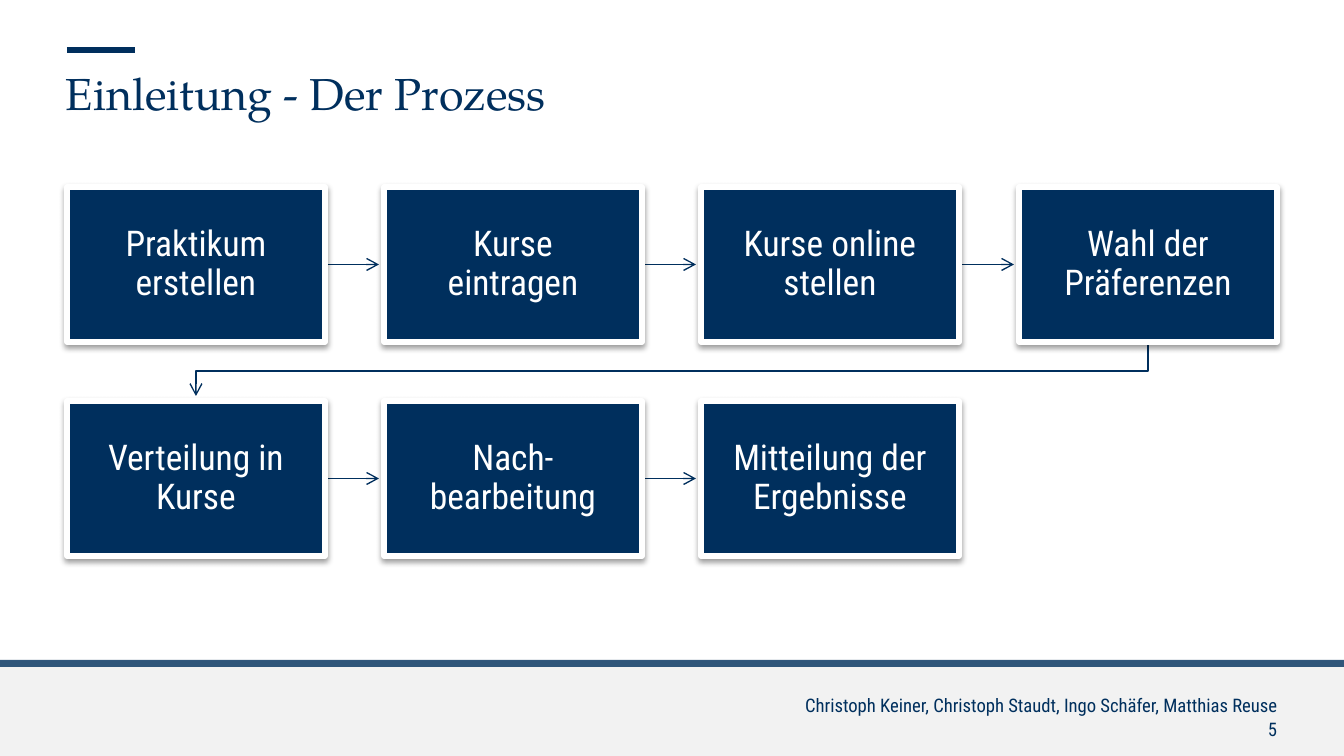
import pptx
import pptx.dml.color
import pptx.enum.shapes
import pptx.enum.text
import pptx.oxml
import pptx.oxml.ns
import pptx.util
from lxml import etree

PX = 914400 / 134.4
A = pptx.oxml.ns.nsdecls("a")
ALIGN = pptx.enum.text.PP_ALIGN
ANCHOR = pptx.enum.text.MSO_ANCHOR
RECTANGLE = pptx.enum.shapes.MSO_SHAPE.RECTANGLE

NAVY, WHITE, GREY = "002F5D", "FFFFFF", "F2F2F2"
SERIF, SANS = "TeX Gyre Pagella", "Roboto Condensed"
RIGHT = 3

BOX_W, BOX_H = 258, 155
LEFT, TOP, ROW_PITCH = 67, 187, 214
ARROW_GAP = 5
STEPS = [
    ["Praktikum erstellen", "Kurse eintragen", "Kurse online stellen", "Wahl der Präferenzen"],
    ["Verteilung in Kurse", "Nach-bearbeitung", "Mitteilung der Ergebnisse"],
]


def emu(px):
    return pptx.util.Emu(round(px * PX))


def rgb(color):
    return pptx.dml.color.RGBColor.from_string(color)


def find(sp, tag):
    return sp.element.find(".//" + pptx.oxml.ns.qn(tag))


def add_child(parent, tag, **attributes):
    etree.SubElement(parent, pptx.oxml.ns.qn(tag), **attributes)


class ProcessSlide:
    def __init__(self, prs):
        self.s = prs.slides.add_slide(prs.slide_layouts[1])

    def send_to_back(self, sp):
        self.s.shapes[0].element.addprevious(sp.element)

    def set_text(self, sp, text, size, font=SANS, color=NAVY, align=ALIGN.LEFT,
                 anchor=ANCHOR.TOP, inset=0):
        tf = sp.text_frame
        tf.word_wrap = True
        tf.auto_size = pptx.enum.text.MSO_AUTO_SIZE.NONE
        tf.vertical_anchor = anchor
        tf.margin_left = tf.margin_top = tf.margin_right = tf.margin_bottom = emu(inset)
        tf.text = text
        p = tf.paragraphs[0]
        p.alignment = align
        p.space_before = pptx.util.Pt(0)
        r = p.runs[0]
        r.font.size = pptx.util.Pt(size)
        r.font.name = font
        r.font.color.rgb = rgb(color)
        return p

    def place(self, sp, x, y, w, h):
        sp.left, sp.top, sp.width, sp.height = map(emu, (x, y, w, h))

    def title(self, text, *box):
        sp = self.s.shapes.title
        self.place(sp, *box)
        self.set_text(sp, text, 24, SERIF)

    def authors(self, text, *box):
        sp = self.s.placeholders[1]
        self.place(sp, *box)
        self.set_text(sp, text, 10, align=ALIGN.RIGHT)
        pPr = find(sp, "a:pPr")
        pPr.set("marL", "0")
        pPr.set("indent", "0")
        add_child(pPr, "a:buNone")

    def label(self, text, *box):
        sp = self.s.shapes.add_textbox(*map(emu, box))
        self.set_text(sp, text, 10, align=ALIGN.RIGHT)

    def rect(self, color, *box):
        sp = self.s.shapes.add_shape(RECTANGLE, *map(emu, box))
        sp.shadow.inherit = False
        sp.fill.solid()
        sp.fill.fore_color.rgb = rgb(color)
        sp.line.fill.background()
        return sp

    def band(self, color, y, h, opacity=100):
        """Full-width footer band behind everything drawn so far."""
        sp = self.rect(color, 0, y, 1344, h)
        if opacity < 100:
            add_child(find(sp, "a:srgbClr"), "a:alpha", val=str(opacity * 1000))
        self.send_to_back(sp)

    def step(self, text, x, y):
        sp = self.rect(NAVY, x, y, BOX_W, BOX_H)
        sp.line.color.rgb = rgb(WHITE)
        sp.line.width = pptx.util.Pt(3)
        find(sp, "a:effectLst").append(pptx.oxml.parse_xml(
            f'<a:outerShdw {A} blurRad="39400" dist="20300" dir="5400000" rotWithShape="0">'
            '<a:srgbClr val="000000"><a:alpha val="38000"/></a:srgbClr></a:outerShdw>'))
        p = self.set_text(sp, text, 19, color=WHITE, align=ALIGN.CENTER,
                          anchor=ANCHOR.MIDDLE, inset=20)
        p.line_spacing = 0.9
        return sp

    def stroke(self, sp, width, arrow):
        sp.line.color.rgb = rgb(NAVY)
        sp.line.width = pptx.util.Pt(width)
        if arrow:
            add_child(find(sp, "a:ln"), "a:tailEnd", type="arrow")

    def line(self, x1, y1, x2, y2, width=0.75, arrow=False, start=None):
        """Straight line; start is the shape whose right side it leaves."""
        sp = self.s.shapes.add_connector(
            pptx.enum.shapes.MSO_CONNECTOR.STRAIGHT, *map(emu, (x1, y1, x2, y2)))
        if start is not None:
            sp.begin_connect(start, RIGHT)
        self.stroke(sp, width, arrow)
        add_child(find(sp, "p:spPr"), "a:effectLst")
        self.send_to_back(sp)

    def bent_arrow(self, start, *points):
        builder = self.s.shapes.build_freeform(*start, scale=PX)
        builder.add_line_segments(points, close=False)
        sp = builder.convert_to_shape()
        sp.shadow.inherit = False
        sp.fill.background()
        self.stroke(sp, 0.75, True)
        self.send_to_back(sp)


def column_x(col):
    return LEFT + 952 * col // 3


def main():
    prs = pptx.Presentation()
    prs.slide_width, prs.slide_height = emu(1344), emu(756)
    slide = ProcessSlide(prs)

    slide.title("Einleitung - Der Prozess", 66, 66, 911, 54)
    slide.authors("Christoph Keiner, Christoph Staudt, Ingo Schäfer, Matthias Reuse",
                  441, 694, 836, 22)
    slide.label("5", 517, 718, 760, 23)
    slide.line(LEFT, 50, 135, 50, width=3.5)

    for row, texts in enumerate(STEPS):
        y = TOP + row * ROW_PITCH
        mid = y + BOX_H / 2
        for col, text in enumerate(texts):
            x = column_x(col)
            sp = slide.step(text, x, y)
            if col < len(texts) - 1:
                slide.line(x + BOX_W, mid, column_x(col + 1) - ARROW_GAP, mid,
                           arrow=True, start=sp)

    last_mid, first_mid = column_x(3) + BOX_W // 2, LEFT + BOX_W // 2
    row_end, next_row = TOP + BOX_H, TOP + ROW_PITCH
    turn = (row_end + next_row) // 2
    slide.bent_arrow((last_mid, row_end), (last_mid, turn), (first_mid, turn),
                     (first_mid, next_row - ARROW_GAP))

    slide.band(NAVY, 660, 7, opacity=80)
    slide.band(GREY, 661, 95)
    prs.save("out.pptx")


if __name__ == "__main__":
    main()
